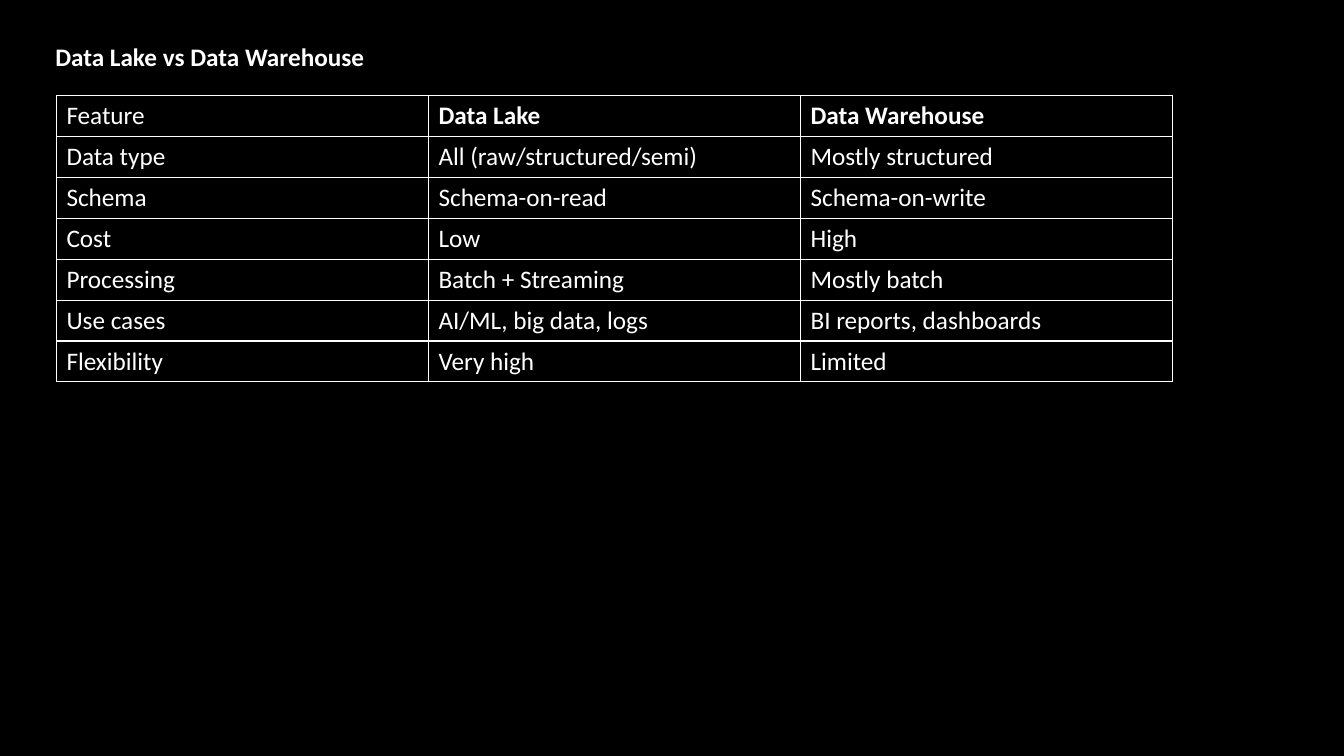
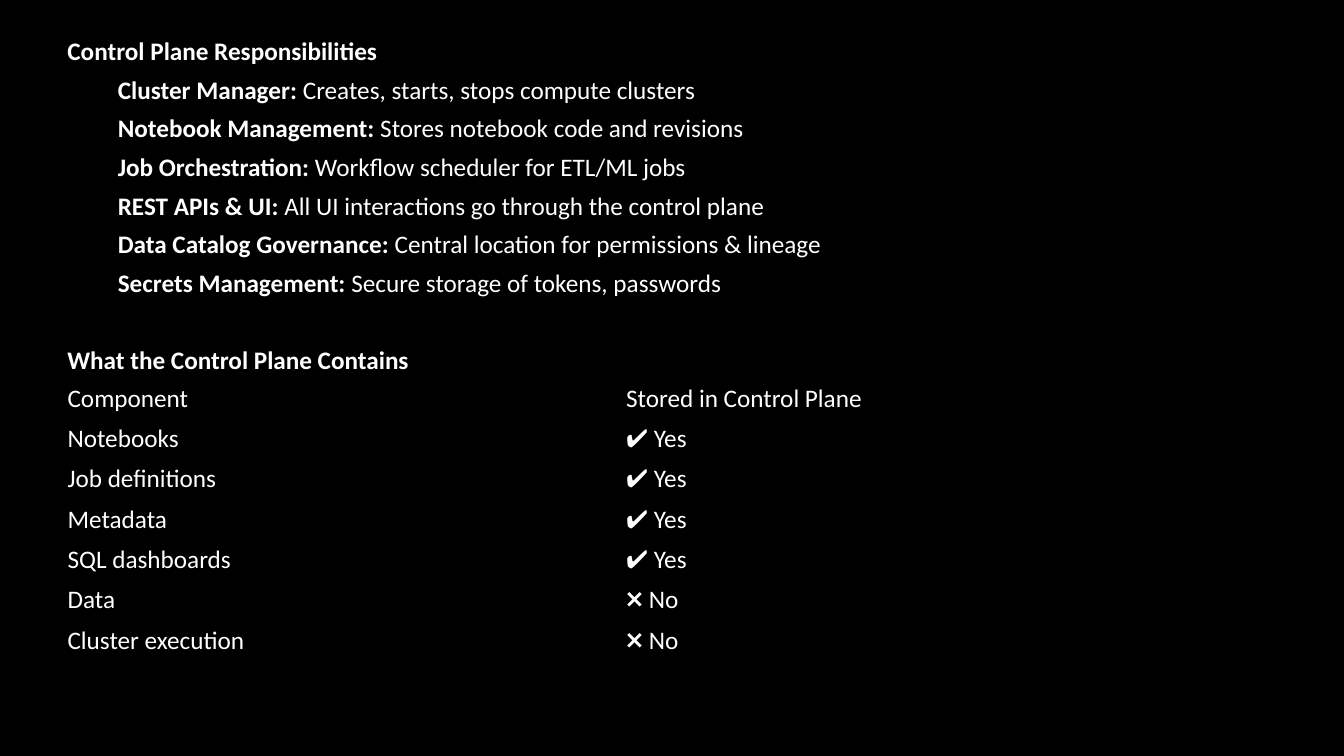
from lxml import etree
from pptx import Presentation, util as u
from pptx.dml.color import RGBColor
from pptx.enum import text
from pptx.oxml import ns

PX = 9144  # 100 px to the inch
COLORS = {"background": "000000", "ink": "FFFFFF"}
FONT, SIZE = "Calibri", u.Pt(18)
LINE_GAP, SECTION_GAP = u.Pt(6), u.Pt(33.6)
INDENT, ROW_HEIGHT = 50, 40
NO_STYLE = "{2D5ABB26-0587-4C30-8999-92F81FD0307C}"

COMPARISON_TITLE = "Data Lake vs Data Warehouse"
COMPARISON = [
    ("Feature", "Data Lake", "Data Warehouse"),
    ("Data type", "All (raw/structured/semi)", "Mostly structured"),
    ("Schema", "Schema-on-read", "Schema-on-write"),
    ("Cost", "Low", "High"),
    ("Processing", "Batch + Streaming", "Mostly batch"),
    ("Use cases", "AI/ML, big data, logs", "BI reports, dashboards"),
    ("Flexibility", "Very high", "Limited"),
]
DUTIES_TITLE = "Control Plane Responsibilities"
DUTIES = [
    ("Cluster Manager:", "Creates, starts, stops compute clusters"),
    ("Notebook Management:", "Stores notebook code and revisions"),
    ("Job Orchestration:", "Workflow scheduler for ETL/ML jobs"),
    ("REST APIs & UI:", "All UI interactions go through the control plane"),
    ("Data Catalog Governance:", "Central location for permissions & lineage"),
    ("Secrets Management:", "Secure storage of tokens, passwords"),
]
CONTENTS_TITLE = "What the Control Plane Contains"
CONTENTS = [
    ("Component", "Stored in Control Plane"),
    ("Notebooks", "✔️ Yes"),
    ("Job definitions", "✔️ Yes"),
    ("Metadata", "✔️ Yes"),
    ("SQL dashboards", "✔️ Yes"),
    ("Data", "❌ No"),
    ("Cluster execution", "❌ No"),
]


def add_page(deck):
    page = deck.slides.add_slide(deck.slide_layouts[6])
    fill = page.background.fill
    fill.solid()
    fill.fore_color.rgb = RGBColor.from_string(COLORS["background"])
    return page


def add_span(para, words, bold=False):
    span = para.add_run()
    span.text = words
    span.font.name, span.font.size, span.font.bold = FONT, SIZE, bold
    span.font.color.rgb = RGBColor.from_string(COLORS["ink"])


def add_lines(page, left, top, width, height, lines):
    """Each line is (gap before, indent in px, [(words, bold), ...])."""
    box = page.shapes.add_textbox(*(v * PX for v in (left, top, width, height)))
    frame = box.text_frame
    frame.word_wrap = True
    for i, (gap, indent, spans) in enumerate(lines):
        para = frame.add_paragraph() if i else frame.paragraphs[0]
        if gap:
            para.space_before = gap
        if indent:
            props = para._p.get_or_add_pPr()
            props.set("marL", str(indent * PX))
            props.set("indent", "0")
        for words, bold in spans:
            add_span(para, words, bold)


def add_borders(cell):
    props = cell._tc.get_or_add_tcPr()
    for i, side in enumerate(("lnL", "lnR", "lnT", "lnB")):
        line = etree.Element(ns.qn(f"a:{side}"), w=str(u.Pt(1)))
        fill = etree.SubElement(line, ns.qn("a:solidFill"))
        etree.SubElement(fill, ns.qn("a:srgbClr"), val=COLORS["ink"])
        props.insert(i, line)


def add_grid(page, left, top, column_width, rows, bold_cells=(), borders=False):
    columns = len(rows[0])
    size = (columns * column_width, len(rows) * ROW_HEIGHT)
    table = page.shapes.add_table(
        len(rows), columns, *(v * PX for v in (left, top, *size))).table
    table.first_row = table.horz_banding = False
    table._tbl.tblPr.find(ns.qn("a:tableStyleId")).text = NO_STYLE
    for r, row in enumerate(rows):
        for c, words in enumerate(row):
            cell = table.cell(r, c)
            cell.fill.background()
            cell.vertical_anchor = text.MSO_ANCHOR.MIDDLE
            add_span(cell.text_frame.paragraphs[0], words, (r, c) in bold_cells)
            if borders:
                add_borders(cell)


def build_comparison(deck):
    page = add_page(deck)
    add_grid(page, 56, 95, 369, COMPARISON, {(0, 1), (0, 2)}, borders=True)
    add_lines(page, 45, 36, 667, 40, [(None, 0, [(COMPARISON_TITLE, True)])])


def build_control_plane(deck):
    page = add_page(deck)
    lines = [(None, 0, [(DUTIES_TITLE, True)])]
    lines += [(LINE_GAP, INDENT, [(duty, True), (f" {detail}", False)])
              for duty, detail in DUTIES]
    lines.append((SECTION_GAP, 0, [(CONTENTS_TITLE, True)]))
    add_lines(page, 57, 30, 1168, 345, lines)
    add_grid(page, 57, 375, 554, CONTENTS)


def main():
    deck = Presentation()
    deck.slide_width, deck.slide_height = 1333 * PX, 750 * PX
    build_comparison(deck)
    build_control_plane(deck)
    deck.save("out.pptx")


if __name__ == "__main__":
    main()
